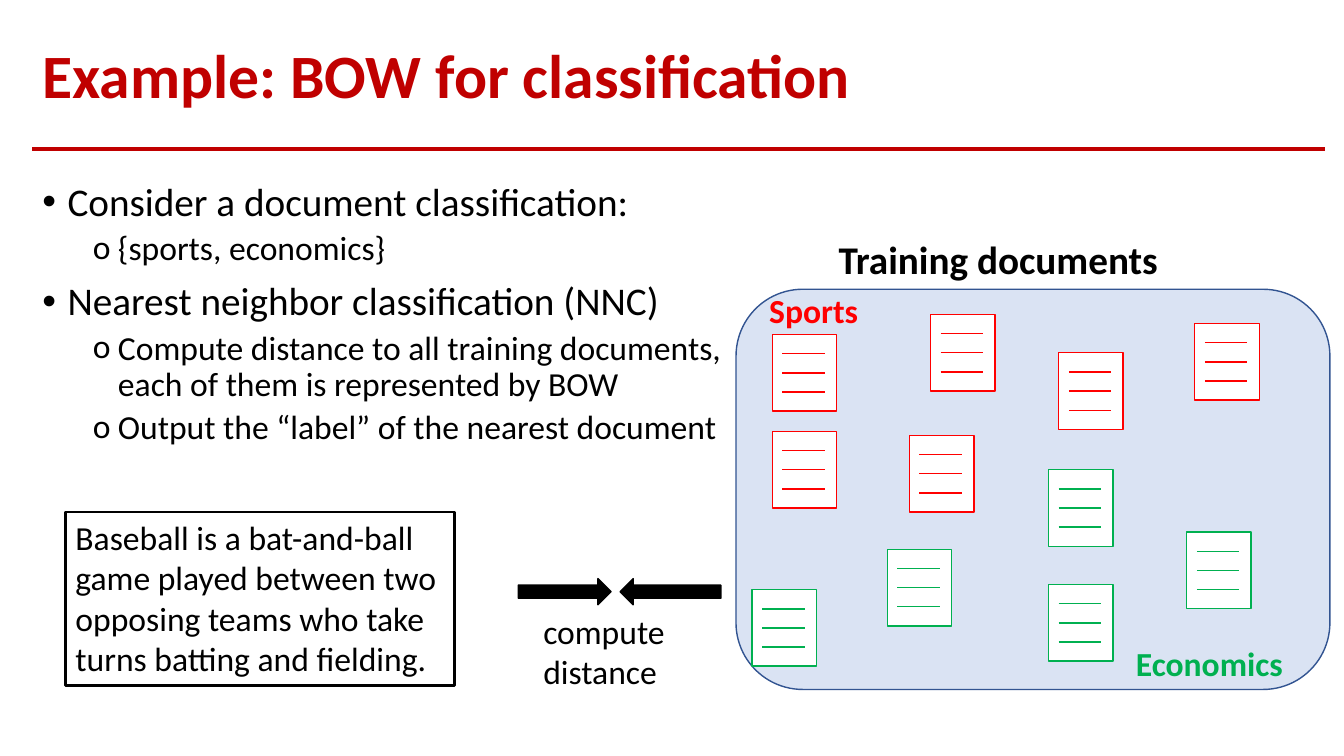
import pptx
import pptx.util
import pptx.dml.color
import pptx.enum.shapes
import pptx.enum.text
import pptx.oxml
import pptx.oxml.ns
from pptx.util import Inches

COLORS = {
    "heading": "C00000",
    "ink": "000000",
    "paper": "FFFFFF",
    "panel": "DAE3F3",
    "panel_edge": "325491",
    "sports": "FF0000",
    "economics": "00B050",
}
SHAPES = pptx.enum.shapes.MSO_SHAPE
ALIGN = pptx.enum.text.PP_ALIGN
ANCHOR = pptx.enum.text.MSO_ANCHOR

SPORTS_PAGES = [(7.66, 4.28), (9.02, 4.32), (7.66, 3.32), (9.23, 3.12), (10.5, 3.5), (11.85, 3.21)]
ECONOMICS_PAGES = [(7.46, 5.85), (8.8, 5.45), (10.4, 4.66), (11.77, 5.28), (10.4, 5.8)]
OUTLINE = [
    (0, "Consider a document classification:"),
    (1, "{sports, economics}"),
    (0, "Nearest neighbor classification (NNC)"),
    (1, "Compute distance to all training documents, each of them is represented by BOW"),
    (1, "Output the “label” of the nearest document"),
]


def rgb(name):
    return pptx.dml.color.RGBColor.from_string(COLORS[name])


def place(item, left, top, width, height):
    item.left, item.top = Inches(left), Inches(top)
    item.width, item.height = Inches(width), Inches(height)


def write(paragraph, text, size=24, color="ink", bold=False, align=ALIGN.LEFT,
          spacing=None, before=0):
    paragraph.alignment = align
    paragraph.space_before = pptx.util.Pt(before)
    if spacing:
        paragraph.line_spacing = spacing
    run = paragraph.add_run()
    run.text = text
    run.font.name = "Calibri"
    run.font.size = pptx.util.Pt(size)
    run.font.bold = bold
    run.font.color.rgb = rgb(color)


def set_bullet(paragraph, char, typeface, indent):
    properties = paragraph._p.get_or_add_pPr()
    properties.set("marL", str(Inches(indent)))
    properties.set("indent", str(Inches(-0.25)))
    for tag, attribute, value in (("a:buFont", "typeface", typeface), ("a:buChar", "char", char)):
        element = pptx.oxml.parse_xml(f"<{tag} {pptx.oxml.ns.nsdecls('a')}/>")
        element.set(attribute, value)
        properties.append(element)


def add_label(slide, text, left, top, width, height, **style):
    frame = slide.shapes.add_textbox(*map(Inches, (left, top, width, height))).text_frame
    frame.word_wrap = True
    write(frame.paragraphs[0], text, **style)


def add_box(shapes, kind, left, top, width, height, fill, line, weight=1):
    box = shapes.add_shape(kind, *map(Inches, (left, top, width, height)))
    box.shadow.inherit = False
    if fill:
        box.fill.solid()
        box.fill.fore_color.rgb = rgb(fill)
    else:
        box.fill.background()
    box.line.color.rgb = rgb(line)
    box.line.width = pptx.util.Pt(weight)
    return box


def add_rule(shapes, left, right, y, color, weight=1):
    rule = shapes.add_connector(pptx.enum.shapes.MSO_CONNECTOR.STRAIGHT,
                                Inches(left), Inches(y), Inches(right), Inches(y))
    rule.line.color.rgb = rgb(color)
    rule.line.width = pptx.util.Pt(weight)
    rule._element.spPr.append(
        pptx.oxml.parse_xml(f"<a:effectLst {pptx.oxml.ns.nsdecls('a')}/>"))


def add_page(slide, left, top, color):
    page = slide.shapes.add_group_shape().shapes
    add_box(page, SHAPES.RECTANGLE, left, top, 0.64, 0.76, "paper", color)
    for row in range(1, 4):
        add_rule(page, left + 0.1, left + 0.52, top + 0.19 * row, color)


def add_heading(slide):
    add_rule(slide.shapes, 0.32, 13.14, 1.48, "heading", 2.5)
    title = slide.shapes.title
    place(title, 0.32, 0.28, 12.82, 1)
    frame = title.text_frame
    frame.vertical_anchor = ANCHOR.MIDDLE
    frame.auto_size = pptx.enum.text.MSO_AUTO_SIZE.NONE
    write(frame.paragraphs[0], "Example: BOW for classification",
          size=44, color="heading", bold=True, spacing=0.9)


def add_outline(slide):
    body = slide.placeholders[1]
    place(body, 0.32, 1.76, 7.28, 4.99)
    frame = body.text_frame
    frame.auto_size = pptx.enum.text.MSO_AUTO_SIZE.NONE
    for index, (level, text) in enumerate(OUTLINE):
        paragraph = frame.add_paragraph() if index else frame.paragraphs[0]
        paragraph.level = level
        if level:
            set_bullet(paragraph, "o", "Calibri", 0.75)
        else:
            set_bullet(paragraph, "•", "Arial", 0.25)
        before = 0 if index == 0 else 5 if level else 10
        write(paragraph, text, size=24 if level else 28, spacing=0.9, before=before)


def add_training_set(slide):
    add_box(slide.shapes, SHAPES.ROUNDED_RECTANGLE, 7.3, 2.87, 5.89, 3.97, "panel", "panel_edge")
    add_label(slide, "Training documents", 7.99, 2.29, 3.82, 0.57,
              size=28, bold=True, align=ALIGN.CENTER)
    for color, pages in (("sports", SPORTS_PAGES), ("economics", ECONOMICS_PAGES)):
        for left, top in pages:
            add_page(slide, left, top, color)
    add_label(slide, "Sports", 7.39, 2.83, 1.36, 0.5,
              color="sports", bold=True, align=ALIGN.CENTER)
    add_label(slide, "Economics", 11.11, 6.33, 1.77, 0.5,
              color="economics", bold=True, align=ALIGN.CENTER)


def add_query(slide):
    query = add_box(slide.shapes, SHAPES.RECTANGLE, 0.65, 5.08, 3.86, 1.72, None, "ink", 2)
    frame = query.text_frame
    frame.word_wrap = True
    frame.vertical_anchor = ANCHOR.TOP
    write(frame.paragraphs[0], "Baseball is a bat-and-ball game played between two "
                               "opposing teams who take turns batting and fielding.")
    for left, width, rotation in ((5.14, 0.92, 0), (6.15, 1, 180)):
        arrow = add_box(slide.shapes, SHAPES.RIGHT_ARROW, left, 5.74, width, 0.26, "ink", "ink")
        arrow.rotation = rotation
    add_label(slide, "compute distance", 5.29, 6.01, 1.53, 0.91)


def main():
    deck = pptx.Presentation()
    deck.slide_width, deck.slide_height = Inches(13.33), Inches(7.5)
    slide = deck.slides.add_slide(deck.slide_layouts[1])
    add_heading(slide)
    add_outline(slide)
    add_training_set(slide)
    add_query(slide)
    deck.save("out.pptx")


if __name__ == "__main__":
    main()
